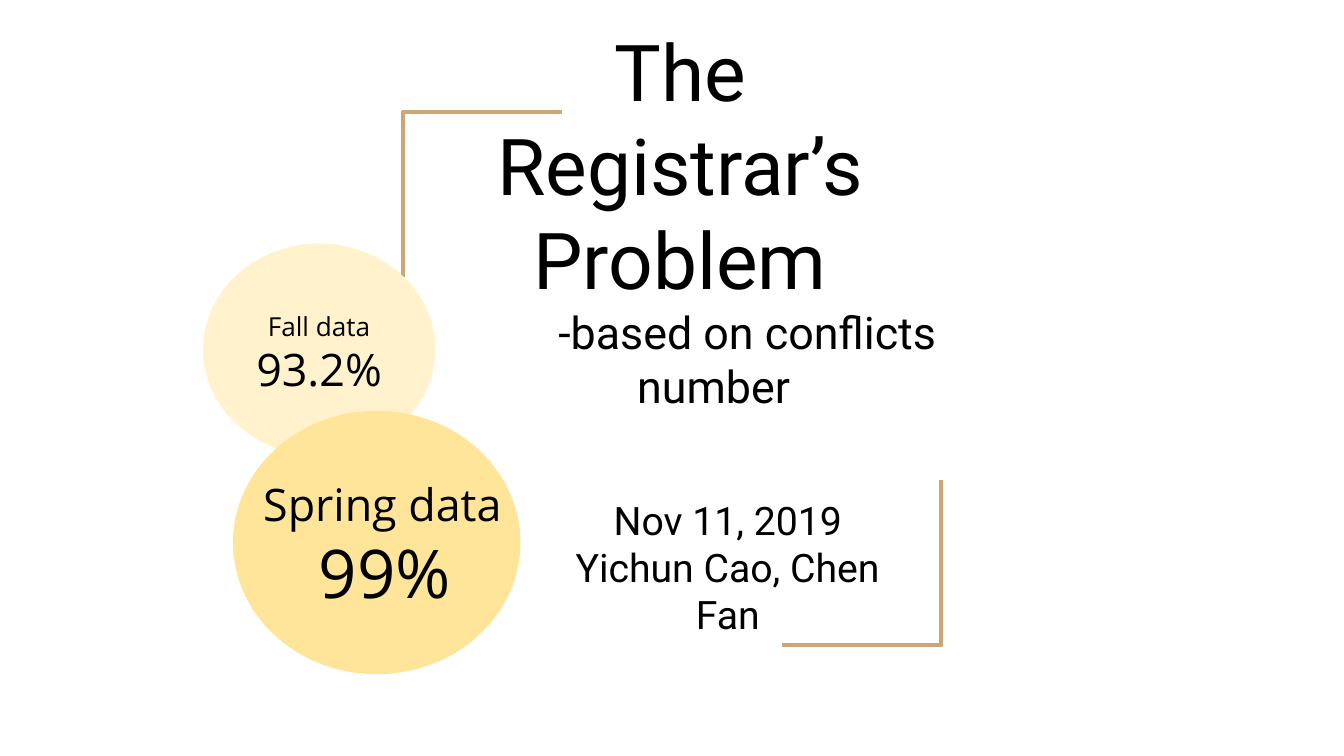
from pptx import Presentation
from pptx.dml.color import RGBColor
from pptx.enum.shapes import MSO_SHAPE
from pptx.enum.text import MSO_ANCHOR, PP_ALIGN
from pptx.util import Pt

ELLIPSE = MSO_SHAPE.OVAL
TOP, BOTTOM = MSO_ANCHOR.TOP, MSO_ANCHOR.BOTTOM
LEFT, CENTER = PP_ALIGN.LEFT, PP_ALIGN.CENTER

BLACK = RGBColor(0x00, 0x00, 0x00)
TAN = RGBColor(0xCC, 0xA6, 0x77)
CREAM = RGBColor(0xFF, 0xF2, 0xCC)
YELLOW = RGBColor(0xFF, 0xE5, 0x99)

HEADING_FONT = "Roboto"
DATA_FONT = "Open Sans"
INSET = 7.2


def add_text(frame, text, first=False, font=HEADING_FONT, size=24,
             color=BLACK, align=CENTER, indent=0):
    """Add one formatted paragraph; indent moves the margin and first line."""
    para = frame.paragraphs[0] if first else frame.add_paragraph()
    para.alignment = align
    if indent:
        properties = para._p.get_or_add_pPr()
        properties.set("marL", str(Pt(indent)))
        properties.set("indent", str(Pt(indent)))
    span = para.add_run()
    span.text = text
    span.font.name = font
    span.font.size = Pt(size)
    span.font.color.rgb = color


class Page:
    """The current slide and its drawing style."""

    def __init__(self, deck):
        self.shapes = deck.slides.add_slide(deck.slide_layouts[6]).shapes
        self.line_color = TAN
        self.line_width = Pt(2.25)

    def bracket(self, *points):
        start, *others = [(Pt(x), Pt(y)) for x, y in points]
        builder = self.shapes.build_freeform(*start)
        builder.add_line_segments(others, close=False)
        shape = builder.convert_to_shape()
        shape.shadow.inherit = False
        shape.fill.background()
        shape.line.color.rgb = self.line_color
        shape.line.width = self.line_width

    def circle(self, x, y, width, height, color):
        shape = self.shapes.add_shape(ELLIPSE, Pt(x), Pt(y), Pt(width), Pt(height))
        shape.shadow.inherit = False
        shape.fill.solid()
        shape.fill.fore_color.rgb = color
        shape.line.fill.background()

    def text_box(self, x, y, width, height, paragraphs, anchor=TOP, bottom=INSET):
        box = self.shapes.add_textbox(Pt(x), Pt(y), Pt(width), Pt(height))
        frame = box.text_frame
        frame.word_wrap = True
        frame.vertical_anchor = anchor
        frame.margin_left = frame.margin_right = frame.margin_top = Pt(INSET)
        frame.margin_bottom = Pt(bottom)
        for index, (text, style) in enumerate(paragraphs):
            add_text(frame, text, first=index == 0, **style)


def main():
    deck = Presentation()
    deck.slide_width, deck.slide_height = Pt(720), Pt(405)
    page = Page(deck)

    # Corner brackets
    page.bracket((216, 148.5), (216, 59.8), (301, 59.8))
    page.bracket((504, 257), (504, 345.7), (419, 345.7))

    # Result circles
    page.circle(108.8, 130.5, 124.4, 113.6, CREAM)
    page.text_box(118.1, 159.1, 105.8, 56.9, [
        ("Fall data", dict(font=DATA_FONT, size=14)),
        ("93.2%", dict(font=DATA_FONT, size=24)),
    ])
    page.circle(124.8, 220.1, 154, 141.1, YELLOW)
    page.text_box(133.9, 248.4, 144.7, 82.8, [
        ("Spring data", dict(font=DATA_FONT, size=24, align=LEFT)),
        ("99%", dict(font=DATA_FONT, size=36)),
    ])

    # Title, raised above the lower edge of its box
    page.text_box(218.9, 87.1, 290.9, 191.5, [
        ("The Registrar’s Problem", dict(size=42)),
        ("-based on conflicts number", dict(size=24, indent=36)),
    ], anchor=BOTTOM, bottom=57.6)

    # Date and authors
    page.text_box(299.5, 258.5, 180.7, 62.6, [
        ("Nov 11, 2019", dict(size=21)),
        ("Yichun Cao, Chen Fan", dict(size=21)),
    ])

    deck.save("out.pptx")


if __name__ == "__main__":
    main()
